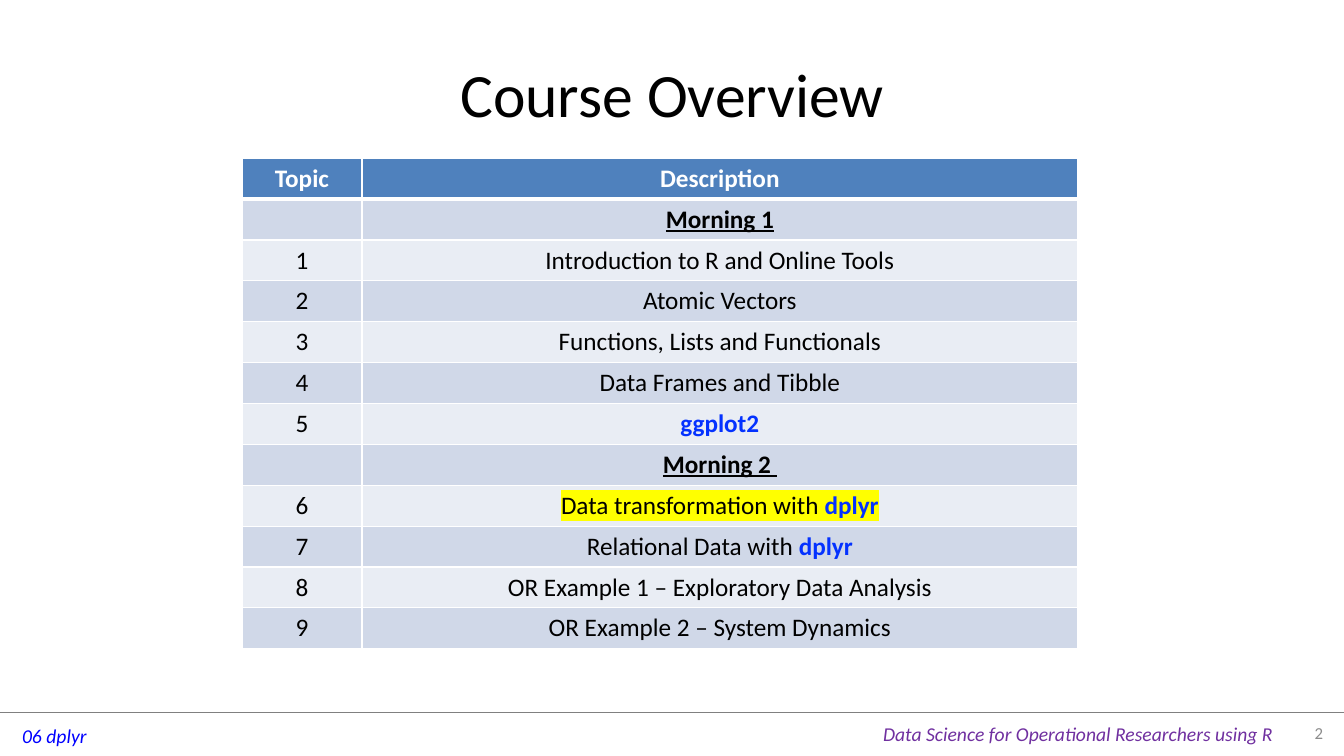
from lxml import etree
from pptx import Presentation
from pptx.dml.color import RGBColor
from pptx.enum.shapes import MSO_CONNECTOR
from pptx.enum.text import MSO_ANCHOR, PP_ALIGN
from pptx.oxml.ns import qn
from pptx.util import Inches, Pt

LEFT, CENTER, RIGHT = PP_ALIGN.LEFT, PP_ALIGN.CENTER, PP_ALIGN.RIGHT
TOP, MIDDLE = MSO_ANCHOR.TOP, MSO_ANCHOR.MIDDLE
STRAIGHT = MSO_CONNECTOR.STRAIGHT

BLACK, WHITE, BLUE, YELLOW = "000000", "FFFFFF", "0432FF", "FFFF00"
HEADER, BANDS = "4F81BD", ("D0D8E8", "E9EDF4")
HEADING = {"bold": True, "underline": True}
PACKAGE = {"bold": True, "color": BLUE}
MARKED = {"highlight": YELLOW}

TOPICS = [
    ("", [("Morning 1", HEADING)]),
    ("1", [("Introduction to R and Online Tools", {})]),
    ("2", [("Atomic Vectors", {})]),
    ("3", [("Functions, Lists and Functionals", {})]),
    ("4", [("Data Frames and Tibble", {})]),
    ("5", [("ggplot2", PACKAGE)]),
    ("", [("Morning 2 ", HEADING)]),
    ("6", [("Data transformation with ", MARKED), ("dplyr", PACKAGE | MARKED)]),
    ("7", [("Relational Data with ", {}), ("dplyr", PACKAGE)]),
    ("8", [("OR Example 1 – Exploratory Data Analysis", {})]),
    ("9", [("OR Example 2 – System Dynamics", {})]),
]


def rgb(value):
    return RGBColor.from_string(value)


def add_run(p, text, size=18, color=BLACK, bold=False, italic=False,
            underline=False, highlight=None, font="Calibri"):
    r = p.add_run()
    r.text = text
    r.font.size = Pt(size)
    r.font.bold = bold
    r.font.italic = italic
    r.font.underline = underline
    r.font.color.rgb = rgb(color)
    if highlight:
        mark = etree.Element(qn("a:highlight"))
        etree.SubElement(mark, qn("a:srgbClr"), val=highlight)
        r.font.fill._xPr.find(qn("a:solidFill")).addnext(mark)
    r.font.name = font


class SlideBuilder:
    def __init__(self, prs):
        self.s = prs.slides.add_slide(prs.slide_layouts[6])
        self.s.background.fill.solid()
        self.s.background.fill.fore_color.rgb = rgb(WHITE)

    def line(self, x1, y1, x2, y2, color, width):
        cn = self.s.shapes.add_connector(
            STRAIGHT, Inches(x1), Inches(y1), Inches(x2), Inches(y2))
        cn.line.color.rgb = rgb(color)
        cn.line.width = Pt(width)
        etree.SubElement(cn._element.spPr, qn("a:effectLst"))

    def text(self, x, y, w, h, text, align=LEFT, anchor=TOP, wrap=True, **style):
        sp = self.s.shapes.add_textbox(Inches(x), Inches(y), Inches(w), Inches(h))
        tf = sp.text_frame
        tf.word_wrap = wrap
        tf.vertical_anchor = anchor
        p = tf.paragraphs[0]
        p.alignment = align
        add_run(p, text, **style)

    def cell(self, cell, runs, fill, top=1, bottom=1):
        tcPr = cell._tc.get_or_add_tcPr()
        for side, width in (("L", 1), ("R", 1), ("T", top), ("B", bottom)):
            ln = etree.SubElement(tcPr, qn(f"a:ln{side}"), w=str(Pt(width)))
            solid = etree.SubElement(ln, qn("a:solidFill"))
            etree.SubElement(solid, qn("a:srgbClr"), val=WHITE)
        cell.fill.solid()
        cell.fill.fore_color.rgb = rgb(fill)
        p = cell.text_frame.paragraphs[0]
        p.alignment = CENTER
        for text, style in runs:
            if text:
                add_run(p, text, **style)

    def table(self, x, y, widths, height, header, rows):
        tbl = self.s.shapes.add_table(
            len(rows) + 1, len(widths), Inches(x), Inches(y),
            Inches(sum(widths)), Inches(height)).table
        tbl.first_row = tbl.horz_banding = False
        for col, width in zip(tbl.columns, widths):
            col.width = Inches(width)
        for c, title in enumerate(header):
            runs = [(title, {"bold": True, "color": WHITE})]
            self.cell(tbl.cell(0, c), runs, HEADER, bottom=3)
        for i, (number, description) in enumerate(rows):
            for c, runs in enumerate(([(number, {})], description)):
                self.cell(tbl.cell(i + 1, c), runs, BANDS[i % 2],
                          top=3 if i == 0 else 1)


def main():
    prs = Presentation()
    prs.slide_width, prs.slide_height = Inches(13.33), Inches(7.5)
    s = SlideBuilder(prs)
    s.line(0, 7.07, 13.33, 7.07, "808080", 0.25)
    s.text(0.12, 7.13, 0.85, 0.34, "06 dplyr", wrap=False,
           size=14, color="0000FF", italic=True)
    s.text(8.66, 7.11, 4.11, 0.34, "Data Science for Operational Researchers using R",
           wrap=False, size=14, color="7030A0", italic=True)
    s.text(0.67, 0.3, 12, 1.25, "Course Overview", CENTER, MIDDLE, size=44)
    s.text(12.67, 7.07, 0.55, 0.39, "2", RIGHT, MIDDLE, size=12, color="8C8C8C")
    s.table(2.4, 1.57, (1.19, 7.1), 4.87, ("Topic", "Description"), TOPICS)
    prs.save("out.pptx")


if __name__ == "__main__":
    main()
